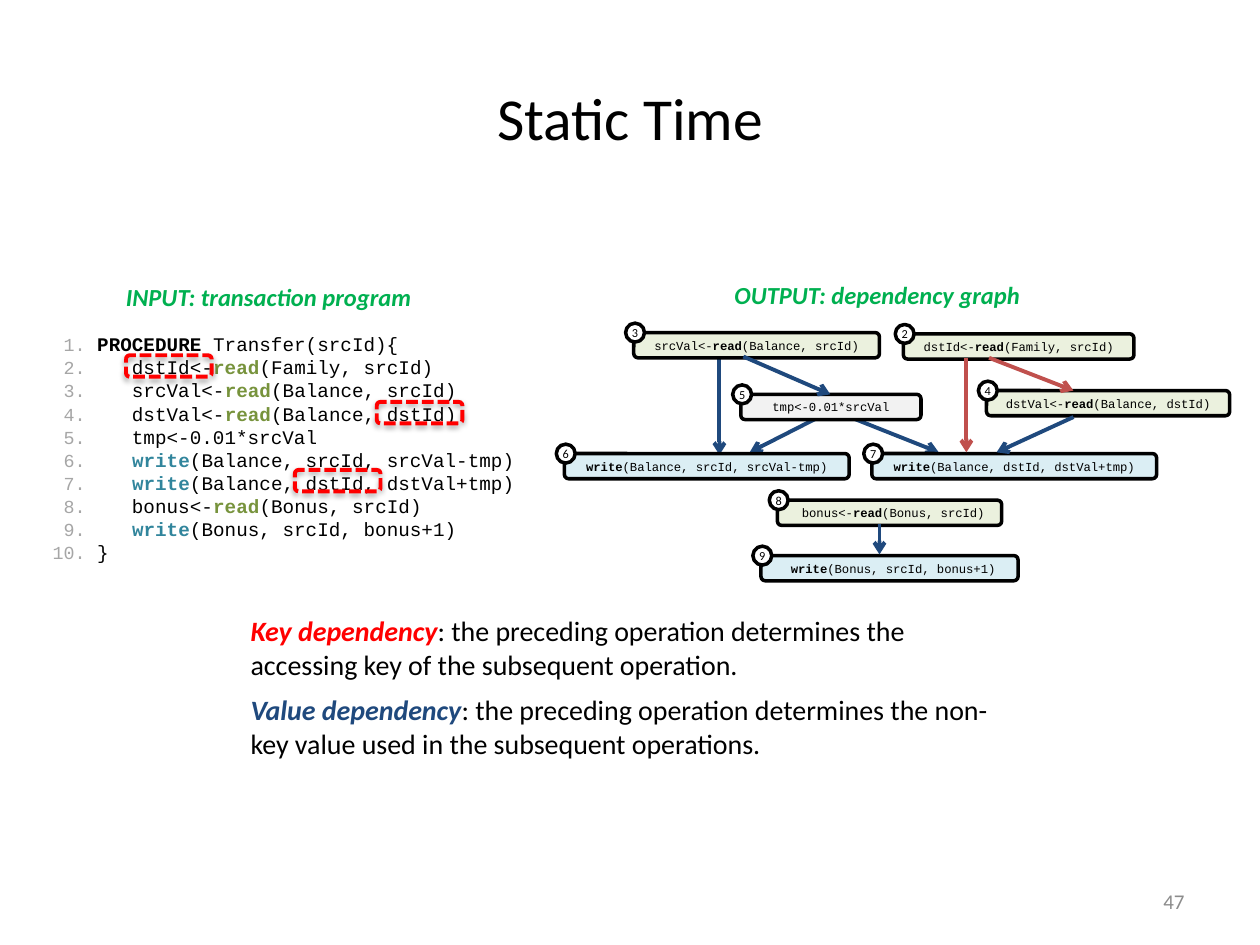
from lxml.etree import SubElement
from pptx import Presentation
from pptx.dml.color import RGBColor
from pptx.enum.dml import MSO_LINE
from pptx.enum.shapes import MSO_CONNECTOR, MSO_SHAPE
from pptx.enum.text import MSO_ANCHOR, PP_ALIGN
from pptx.oxml.ns import qn
from pptx.util import Inches, Pt

# The slide is a grid of 100 columns by 75 rows, each a tenth of an inch.
COLS, ROWS = 100, 75
HUES = {
    "black": "000000", "white": "FFFFFF", "gray": "8C8C8C", "pale": "A6A6A6",
    "green": "00B050", "red": "FF0000", "navy": "1F497D", "brick": "C0504D",
    "leaf": "77933C", "teal": "31859C",
    "fetch": "EBF1DE", "store": "DBEEF4", "calc": "F2F2F2",
}
WORDS = {"read": "leaf", "write": "teal", "PROCEDURE": "black"}
SANS, MONO = "Calibri", "Courier New"

# Keywords stand between bars.
CODE = [
    " |PROCEDURE| Transfer(srcId){",
    "    dstId<-|read|(Family, srcId)",
    "    srcVal<-|read|(Balance, srcId)",
    "    dstVal<-|read|(Balance, dstId)",
    "    tmp<-0.01*srcVal",
    "    |write|(Balance, srcId, srcVal-tmp)",
    "    |write|(Balance, dstId, dstVal+tmp)",
    "    bonus<-|read|(Bonus, srcId)",
    "    |write|(Bonus, srcId, bonus+1)",
    " }",
]
# Dashed marks: column and row inside the program region
MARKS = [(6.8, 6.3), (26.7, 10), (20.2, 15.4)]

# Graph nodes: number, column, row, width, kind, text
NODES = [
    (3, 6.3, 4.7, 19.5, "fetch", "srcVal<-|read|(Balance, srcId)"),
    (4, 34.3, 9.3, 19.3, "fetch", "dstVal<-|read|(Balance, dstId)"),
    (5, 14.8, 9.6, 14.3, "calc", "tmp<-0.01*srcVal"),
    (6, 0.8, 14.3, 22.6, "store", "|write|(Balance, srcId, srcVal-tmp)"),
    (7, 25.2, 14.3, 22.6, "store", "|write|(Balance, dstId, dstVal+tmp)"),
    (8, 17.7, 18, 17.8, "fetch", " bonus<-|read|(Bonus, srcId)"),
    (9, 16.4, 22.4, 20.4, "store", " |write|(Bonus, srcId, bonus+1)"),
    (2, 27.7, 4.8, 18.3, "fetch", "dstId<-|read|(Family, srcId)"),
]
# Arrows: start column and row, end column and row, colour
BACK = [
    (23.7, 11.5, 30.5, 14.2, "navy"),
    (21, 11.4, 15.5, 14.2, "navy"),
    (13.1, 6.5, 13.1, 14.4, "navy"),
]
FRONT = [
    (15, 6.6, 21.9, 9.6, "navy"),
    (32.7, 6.7, 32.7, 14.2, "brick"),
    (41.2, 11.4, 35.1, 14.2, "navy"),
    (34.5, 6.7, 41.2, 9.3, "brick"),
    (25.8, 19.9, 25.8, 22.3, "navy"),
]
NOTES = [
    ("Key dependency", "red", 58.8,
     ": the preceding operation determines the accessing key of the subsequent operation."),
    ("Value dependency", "navy", 60.5,
     ": the preceding operation determines the non-key value used in the subsequent operations."),
]


def hue(name):
    return RGBColor.from_string(HUES[name])


def cells(*nums):
    return [Inches(num / 10) for num in nums]


def style(run, size, color="black", face=SANS, bold=False, slant=False):
    font = run.font
    font.name, font.size, font.bold, font.italic = face, Pt(size), bold, slant
    font.color.rgb = hue(color)


def add_run(par, text, *args, **opts):
    run = par.add_run()
    run.text = text
    style(run, *args, **opts)


def add_code(par, text, size, tint):
    for i, part in enumerate(text.split("|")):
        if part:
            color = WORDS[part] if i % 2 and tint else "black"
            add_run(par, part, size, color, MONO, bold=i % 2 == 1)


def add_box(slide, box, wrap=False):
    frame = slide.shapes.add_textbox(*cells(*box)).text_frame
    frame.word_wrap = wrap
    return frame


def add_form(slide, kind, box, fill, line, width):
    form = slide.shapes.add_shape(kind, *cells(*box))
    form.shadow.inherit = False
    if fill:
        form.fill.solid()
        form.fill.fore_color.rgb = hue(fill)
    else:
        form.fill.background()
    form.line.color.rgb = hue(line)
    form.line.width = Pt(width)
    frame = form.text_frame
    frame.word_wrap = False
    frame.vertical_anchor = MSO_ANCHOR.MIDDLE
    frame.margin_left = frame.margin_right = 0
    frame.margin_top = frame.margin_bottom = 0
    frame.paragraphs[0].alignment = PP_ALIGN.CENTER
    return form


def add_arrow(slide, left, top, x1, y1, x2, y2, color):
    ends = cells(left + x1, top + y1, left + x2, top + y2)
    arrow = slide.shapes.add_connector(MSO_CONNECTOR.STRAIGHT, *ends)
    arrow.line.color.rgb = hue(color)
    arrow.line.width = Pt(2.25)
    props = arrow.element.spPr
    SubElement(props.find(qn("a:ln")), qn("a:tailEnd"), type="arrow")
    SubElement(props, qn("a:effectLst"))


def add_mark(slide, box):
    mark = add_form(slide, MSO_SHAPE.ROUNDED_RECTANGLE, box, None, "red", 2.25)
    mark.line.dash_style = MSO_LINE.SQUARE_DOT
    glow = SubElement(mark.element.spPr.find(qn("a:effectLst")), qn("a:outerShdw"),
                      blurRad=str(Pt(3.1)), dist=str(Pt(1.8)),
                      dir="5400000", rotWithShape="0")
    tone = SubElement(glow, qn("a:srgbClr"), val=HUES["black"])
    SubElement(tone, qn("a:alpha"), val="35000")


def add_head(slide, box, text):
    add_run(add_box(slide, box).paragraphs[0], text, 14, "green", bold=True, slant=True)


def add_node(slide, left, top, num, wide, kind, text):
    form = add_form(slide, MSO_SHAPE.ROUNDED_RECTANGLE, (left, top, wide, 2),
                    kind, "black", 2)
    add_code(form.text_frame.paragraphs[0], text, 7, tint=False)
    # Number badge on the top left corner
    badge = add_form(slide, MSO_SHAPE.OVAL, (left - 0.65, top - 0.75, 1.5, 1.5),
                     "white", "black", 2)
    add_run(badge.text_frame.paragraphs[0], str(num), 7)


def add_title(slide, box):
    title = slide.shapes.title
    title.left, title.top, title.width, title.height = cells(*box)
    frame = title.text_frame
    frame.text = "Static Time"
    frame.vertical_anchor = MSO_ANCHOR.MIDDLE
    frame.paragraphs[0].alignment = PP_ALIGN.CENTER
    style(frame.paragraphs[0].runs[0], 34)


def add_program(slide, left, top, wide, high):
    add_head(slide, (left + 5.8, top, 24.8, 3.4), "INPUT: transaction program")
    frame = add_box(slide, (left, top + 4, wide, high - 4))
    for num, text in enumerate(CODE, 1):
        par = frame.paragraphs[0] if num == 1 else frame.add_paragraph()
        add_run(par, f"{num:>2}.", 10.5, "pale", MONO)
        add_code(par, text, 11, tint=True)
    for col, row in MARKS:
        add_mark(slide, (left + col, top + row, 6.8, 1.7))


def add_graph(slide, left, top):
    add_head(slide, (left + 13.3, top, 24.8, 3.4), "OUTPUT: dependency graph")
    for arrow in BACK:
        add_arrow(slide, left, top, *arrow)
    for num, col, row, wide, kind, text in NODES:
        add_node(slide, left + col, top + row, num, wide, kind, text)
    for arrow in FRONT:
        add_arrow(slide, left, top, *arrow)


def add_notes(slide, left, top, step):
    for i, (term, color, wide, text) in enumerate(NOTES):
        par = add_box(slide, (left, top + i * step, wide, 6.4), wrap=True).paragraphs[0]
        add_run(par, term, 16, color, bold=True, slant=True)
        add_run(par, text, 16)


def add_page(slide, box):
    frame = add_box(slide, box, wrap=True)
    frame.vertical_anchor = MSO_ANCHOR.MIDDLE
    frame.paragraphs[0].alignment = PP_ALIGN.RIGHT
    add_run(frame.paragraphs[0], "47", 12, "gray")


def main():
    deck = Presentation()
    deck.slide_width, deck.slide_height = cells(COLS, ROWS)
    slide = deck.slides.add_slide(deck.slide_layouts[5])
    add_title(slide, (5, 3, 90, 12.5))
    add_program(slide, 3.2, 21.9, 39.1, 24)
    add_graph(slide, 44, 21.7)
    add_notes(slide, 18.9, 48.2, 6.3)
    add_page(slide, (71.7, 69.5, 23.3, 4))
    deck.save("out.pptx")


if __name__ == "__main__":
    main()
